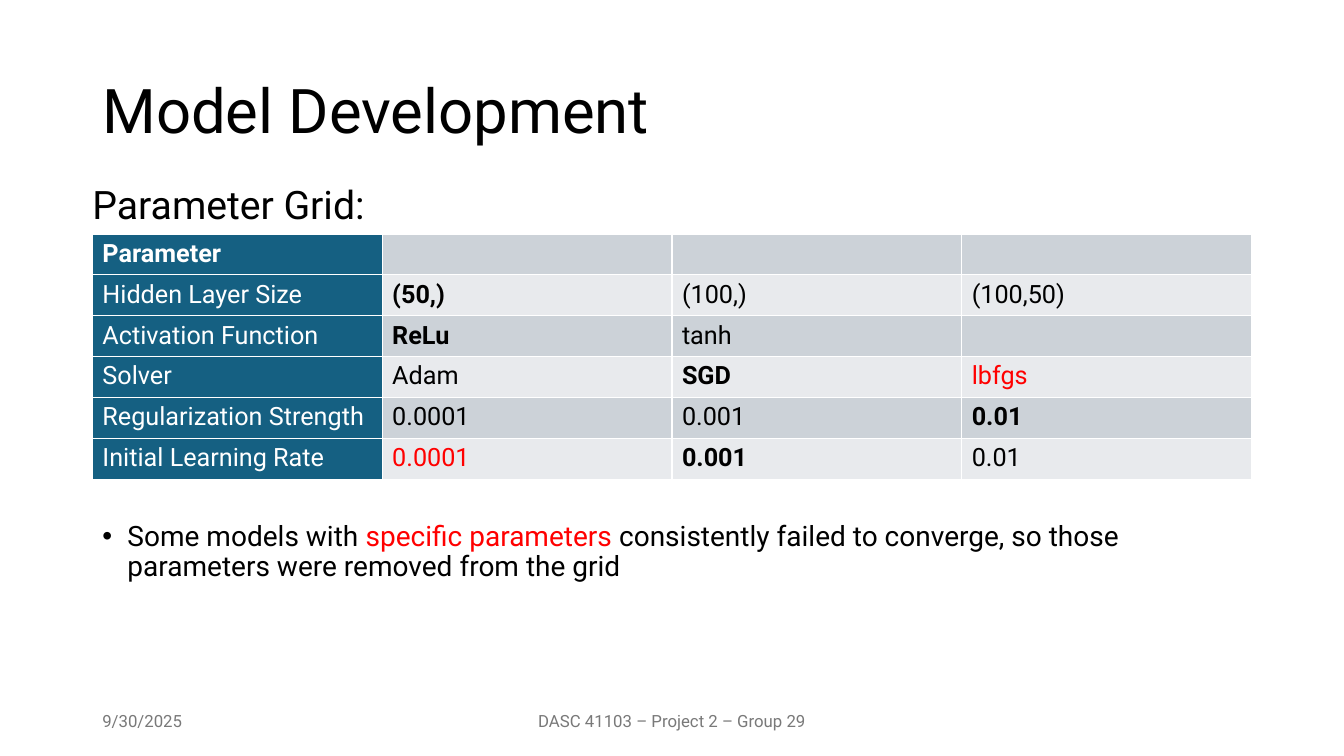
import dataclasses
import typing

import lxml.etree
import pptx
import pptx.dml.color
import pptx.enum.text
import pptx.oxml.ns
import pptx.util

Pt = pptx.util.Pt
RGBColor = pptx.dml.color.RGBColor
Align = pptx.enum.text.PP_ALIGN
Anchor = pptx.enum.text.MSO_ANCHOR
qn = pptx.oxml.ns.qn

BLACK = RGBColor(0x00, 0x00, 0x00)
WHITE = RGBColor(0xFF, 0xFF, 0xFF)
RED = RGBColor(0xFF, 0x00, 0x00)
GRAY = RGBColor(0x79, 0x79, 0x79)
TEAL = RGBColor(0x15, 0x60, 0x82)
DARK = RGBColor(0xCC, 0xD2, 0xD8)
LIGHT = RGBColor(0xE8, 0xEA, 0xED)

FONT = "Roboto"
LEFT = 66
WIDTH = 828


@dataclasses.dataclass(frozen=True)
class Run:
    text: str
    color: RGBColor = BLACK
    bold: bool = False


@dataclasses.dataclass(frozen=True)
class Label:
    left: float
    top: float
    width: float
    height: float
    size: float
    runs: tuple[Run, ...]
    anchor: Anchor = Anchor.TOP
    align: Align = Align.LEFT
    lines: float = 1.0
    before: float = 0
    bullet: bool = False


LABELS = (
    Label(LEFT, 28.75, WIDTH, 104.4, 44, (Run("Model Development"),),
          Anchor.MIDDLE, lines=0.9),
    Label(59, 131.75, WIDTH, 36.75, 28, (Run("Parameter Grid:"),),
          lines=0.8, before=10),
    Label(LEFT, 369.4, WIDTH, 117.4, 20,
          (Run("Some models with "),
           Run("specific parameters ", RED),
           Run("consistently failed to converge, so those parameters "
               "were removed from the grid")),
          lines=0.9, before=10, bullet=True),
    Label(LEFT, 500.5, 216, 28.75, 12, (Run("9/30/2025", GRAY),),
          Anchor.MIDDLE),
    Label(318, 500.5, 324, 28.75, 12,
          (Run("DASC 41103 – Project 2 – Group 29", GRAY),),
          Anchor.MIDDLE, Align.CENTER),
)


def head(text: str, bold: bool = False) -> Run:
    return Run(text, WHITE, bold)


def best(text: str) -> Run:
    return Run(text, bold=True)


def failed(text: str) -> Run:
    return Run(text, RED)


GRID: tuple[tuple[typing.Optional[Run], ...], ...] = (
    (head("Parameter", True), None, None, None),
    (head("Hidden Layer Size"), best("(50,)"), Run("(100,)"), Run("(100,50)")),
    (head("Activation Function"), best("ReLu"), Run("tanh"), None),
    (head("Solver"), Run("Adam"), best("SGD"), failed("lbfgs")),
    (head("Regularization Strength"), Run("0.0001"), Run("0.001"), best("0.01")),
    (head("Initial Learning Rate"), failed("0.0001"), best("0.001"), Run("0.01")),
)


def add_run(para: typing.Any, run: Run, size: float) -> None:
    part = para.add_run()
    part.text = run.text
    part.font.name = FONT
    part.font.size = Pt(size)
    part.font.bold = run.bold
    part.font.color.rgb = run.color


def add_bullet(para: typing.Any) -> None:
    props = para._p.get_or_add_pPr()
    props.set("marL", str(Pt(18)))
    props.set("indent", str(Pt(-18)))
    lxml.etree.SubElement(props, qn("a:buFont")).set("typeface", "Arial")
    lxml.etree.SubElement(props, qn("a:buChar")).set("char", "•")


def add_label(slide: typing.Any, label: Label) -> None:
    box = slide.shapes.add_textbox(
        Pt(label.left), Pt(label.top), Pt(label.width), Pt(label.height))
    frame = box.text_frame
    frame.word_wrap = True
    frame.vertical_anchor = label.anchor
    para = frame.paragraphs[0]
    para.alignment = label.align
    para.line_spacing = label.lines
    para.space_before = Pt(label.before)
    if label.bullet:
        add_bullet(para)
    for run in label.runs:
        add_run(para, run, label.size)


def add_edges(cell: typing.Any) -> None:
    props = cell._tc.get_or_add_tcPr()
    for side in ("lnL", "lnR", "lnT", "lnB"):
        line = lxml.etree.SubElement(props, qn(f"a:{side}"), w=str(Pt(1)))
        fill = lxml.etree.SubElement(line, qn("a:solidFill"))
        lxml.etree.SubElement(fill, qn("a:srgbClr"), val=str(WHITE))


def add_grid(slide: typing.Any) -> None:
    rows, cols = len(GRID), len(GRID[0])
    table = slide.shapes.add_table(
        rows, cols, Pt(LEFT), Pt(167.1), Pt(WIDTH), Pt(175.2)).table
    table.first_row = False
    table.horz_banding = False
    for r, line in enumerate(GRID):
        for c, run in enumerate(line):
            cell = table.cell(r, c)
            add_edges(cell)
            cell.fill.solid()
            band = LIGHT if r % 2 else DARK
            cell.fill.fore_color.rgb = TEAL if c == 0 else band
            if run:
                add_run(cell.text_frame.paragraphs[0], run, 18)


def main() -> None:
    deck = pptx.Presentation()
    deck.slide_width = Pt(960)
    deck.slide_height = Pt(540)
    slide = deck.slides.add_slide(deck.slide_layouts[6])
    add_grid(slide)
    for label in LABELS:
        add_label(slide, label)
    deck.save("out.pptx")


if __name__ == "__main__":
    main()
